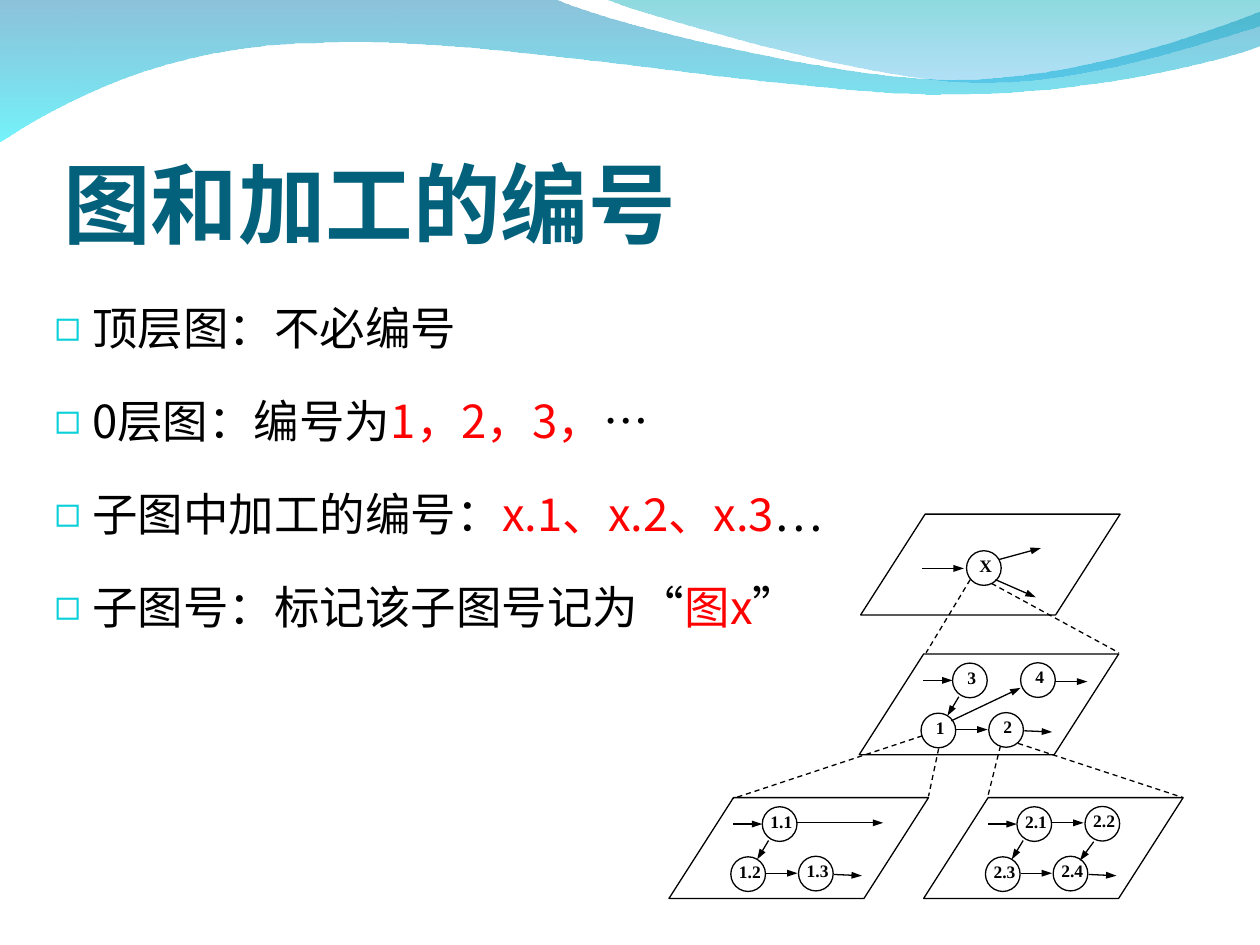
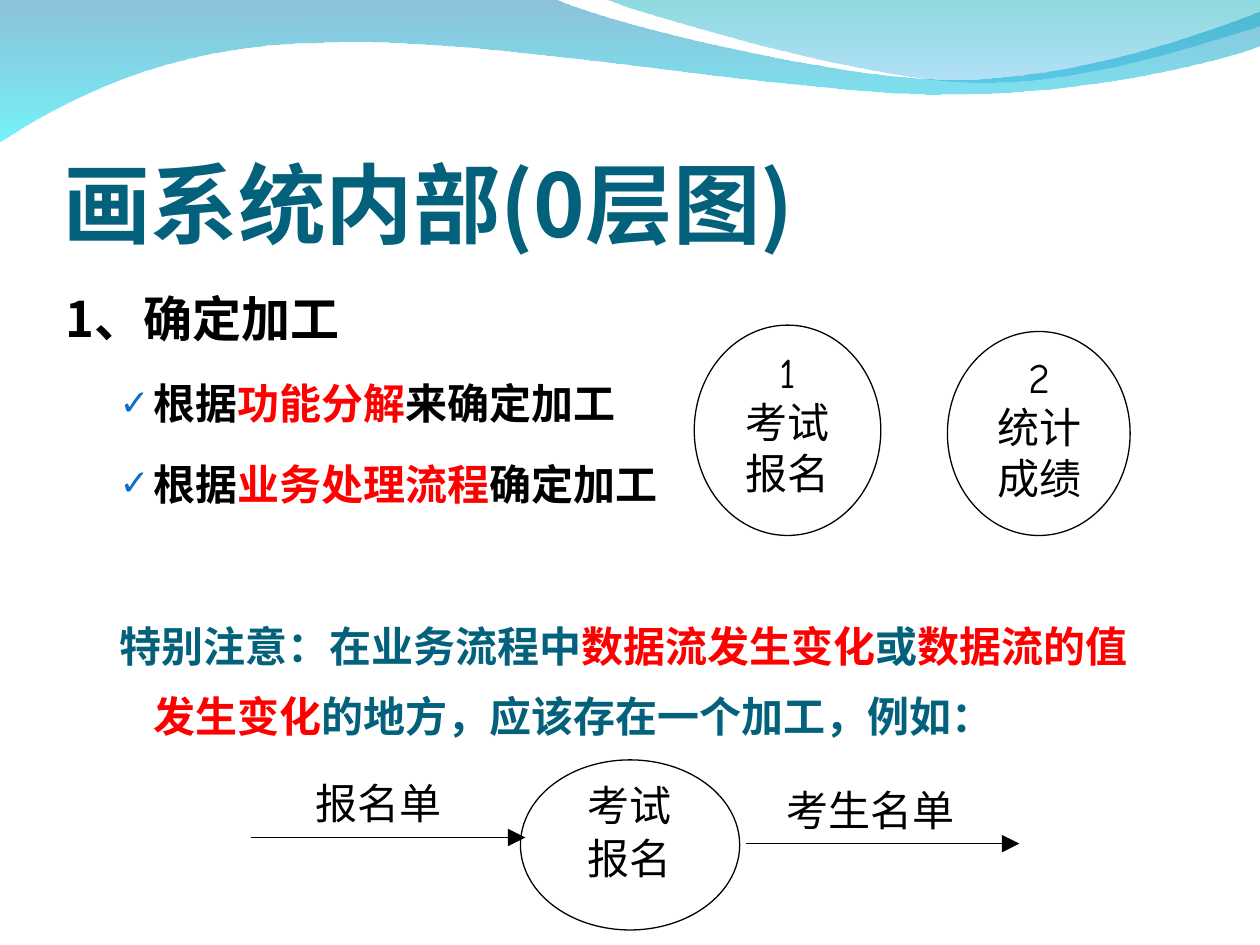
from dataclasses import dataclass

from lxml.etree import SubElement
from pptx import Presentation
from pptx.dml.color import RGBColor as RGB
from pptx.enum.dml import MSO_LINE
from pptx.enum.shapes import MSO_CONNECTOR as CONNECTOR, MSO_SHAPE as SHAPE
from pptx.enum.text import MSO_ANCHOR as ANCHOR, MSO_AUTO_SIZE as AUTO, PP_ALIGN as ALIGN
from pptx.oxml.ns import qn
from pptx.util import Pt


@dataclass(frozen=True)
class Theme:
    ink: str = "000000"
    teal: str = "04617B"
    red: str = "FF0000"
    square: str = "0BD0D9"
    tick: str = "0F6FC6"
    sans: str = "Noto Sans CJK SC"
    serif: str = "Vollkorn"
    hand: str = "Comic Neue"
    roman: str = "Times New Roman"
    title_size: int = 50
    heading_size: int = 28
    list_size: int = 26
    text_size: int = 24
    node_size: int = 10
    stroke: float = 0.75


theme = Theme()


def write(para, spans, size, face, bold=False, align=ALIGN.LEFT):
    """Fill a paragraph with (text, colour) spans in one font."""
    for text, colour in spans:
        span = para.add_run()
        span.text = text
        span.font.color.rgb = RGB.from_string(colour)
    para.alignment = align
    for font in (para.font, *(span.font for span in para.runs)):
        font.size, font.name, font.bold = Pt(size), face, bold
    for latin in list(para._p.iter(qn("a:latin"))):
        east = SubElement(latin.getparent(), qn("a:ea"), typeface=theme.sans)
        latin.addnext(east)


def draw_line(page, start, end, head=None):
    """Draw a line with an arrowhead of (width, length), or a dashed guide without one."""
    line = page.shapes.add_connector(CONNECTOR.STRAIGHT, *map(Pt, (*start, *end)))
    line.line.color.rgb = RGB.from_string(theme.ink)
    line.line.width = Pt(theme.stroke)
    if head:
        width, length = head
        SubElement(line.element.spPr.find(qn("a:ln")), qn("a:tailEnd"),
                   type="triangle", w=width, len=length)
    else:
        line.line.dash_style = MSO_LINE.DASH
    SubElement(line.element.spPr, qn("a:effectLst"))


deck = Presentation()
deck.slide_width, deck.slide_height = Pt(720), Pt(540)
layout = deck.slide_layouts[1]

# Content: list styles are size, face, bold, line height, space before and after,
# left margin, hanging indent, level, bullet, bullet colour, bullet size
square = (theme.list_size, theme.sans, False, 46.6, 2.5, 4, 21.6, 21.6, 0, "◻", theme.square, 95)
heading = (theme.heading_size, theme.sans, True, 27.2, 7, 0, 0, 0, 0, None, None, None)
tick = (theme.text_size, theme.serif, True, 40, 6, 0, 50.4, 19.4, 1, "✓", theme.tick, 85)
notice = (theme.text_size, theme.serif, True, 40, 53, 0, 50.4, 19.4, 1, None, None, None)
ink, red, teal = theme.ink, theme.red, theme.teal

contents = [
    ("图和加工的编号", (23.8, 152.6, 678.2, 345.6), [
        (square, [("顶层图：不必编号", ink)]),
        (square, [("0层图：编号为", ink), ("1，2，3，", red), ("…", ink)]),
        (square, [("子图中加工的编号：", ink), ("x.1、x.2、x.3", red), ("…", ink)]),
        (square, [("子图号：标记该子图号记为“", ink), ("图x", red), ("”", ink)]),
    ]),
    ("画系统内部(0层图)", (30.2, 167.8, 624.2, 264.2), [
        (heading, [("1、确定加工", ink)]),
        (tick, [("根据", ink), ("功能分解", red), ("来确定加工", ink)]),
        (tick, [("根据", ink), ("业务处理流程", red), ("确定加工", ink)]),
        (notice, [("特别注意：在业务流程中", teal), ("数据流发生变化", red), ("或", teal),
                  ("数据流的值发生变化", red), ("的地方，应该存在一个加工，例如：", teal)]),
    ]),
]

# Titles and lists
for title_text, body_place, items in contents:
    page = deck.slides.add_slide(layout)
    title, body = page.placeholders
    title.left, title.top, title.width, title.height = map(Pt, (36, 55.6, 648, 90))
    frame = title.text_frame
    frame.auto_size, frame.vertical_anchor = AUTO.NONE, ANCHOR.BOTTOM
    frame.margin_left = frame.margin_right = frame.margin_bottom = 0
    write(frame.paragraphs[0], [(title_text, teal)], theme.title_size, theme.sans, True)

    body.left, body.top, body.width, body.height = map(Pt, body_place)
    frame = body.text_frame
    frame.auto_size = AUTO.NONE
    for index, (style, spans) in enumerate(items):
        (size, face, bold, height, before, after,
         margin, hang, level, bullet, bullet_colour, bullet_size) = style
        para = frame.add_paragraph() if index else frame.paragraphs[0]
        write(para, spans, size, face, bold)
        para.level = level
        para.line_spacing = Pt(height)
        para.space_before, para.space_after = Pt(before), Pt(after)
        props = para._p.get_or_add_pPr()
        props.set("marL", str(Pt(margin)))
        props.set("indent", str(-Pt(hang)))
        if bullet:
            colour = SubElement(props, qn("a:buClr"))
            SubElement(colour, qn("a:srgbClr"), val=bullet_colour)
            marks = [colour,
                     SubElement(props, qn("a:buSzPct"), val=str(bullet_size * 1000)),
                     SubElement(props, qn("a:buChar"), char=bullet)]
        else:
            marks = [SubElement(props, qn("a:buNone"))]
        for mark in marks:
            props.find(qn("a:defRPr")).addprevious(mark)

numbering, inner = deck.slides

# Waves on the layout: two numbers are a corner, six are a Bézier curve
waves = [
    ([(0, -0.7), (316.8, -0.7), (342.7, 12.2, 478.1, 45.4, 545.8, 45.4),
      (614.2, 45.4, 689.8, 18.7, 720, 6.5), (720.7, 25.9),
      (707.8, 31.7, 626.4, 54.7, 537.1, 54), (447.8, 54, 275, 20.2, 185, 24.5),
      (92.9, 25.2, 33.1, 59.8, -0.7, 81.4)],
     [("0079AF", 45), ("00EBF8", 55)]),
    ([(344.9, -0.7), (366.5, 7.9, 491, 44.6, 553.7, 46.8),
      (616.3, 49.7, 691.9, 23, 720, 15.1), (720, 0)],
     [("00ADB6", 45), ("009BE5", 30)]),
]
for outline, stops in waves:
    start, *segments = outline
    points = [(Pt(x), Pt(y)) for segment in segments
              for x, y in zip(segment[::2], segment[1::2])]
    builder = numbering.shapes.build_freeform(*map(Pt, start))
    builder.add_line_segments(points)
    wave = builder.convert_to_shape()
    corners = iter(list(wave.element.iter(qn("a:lnTo"))))
    for segment in segments:
        first = next(corners)
        if len(segment) == 6:
            curve = SubElement(first.getparent(), qn("a:cubicBezTo"))
            first.addprevious(curve)
            for corner in (first, next(corners), next(corners)):
                curve.append(corner[0])
                corner.getparent().remove(corner)
    wave.shadow.inherit = False
    wave.line.fill.background()
    wave.fill.gradient()
    wave.fill.gradient_angle = 270
    for stop, (colour, _) in zip(wave.fill.gradient_stops, stops):
        stop.color.rgb = RGB.from_string(colour)
    fill = wave.element.spPr.find(qn("a:gradFill"))
    for colour, (_, opacity) in zip(fill.iter(qn("a:srgbClr")), stops):
        SubElement(colour, qn("a:alpha"), val=str(opacity * 1000))
    layout.placeholders[0].element.addprevious(wave.element)

# Levelled diagrams: nodes and arrows are measured from the corner of their sheet
upper_left, upper_right = (53.3, 5.2), (92.2, 5)
lower_left, lower_right = (35.3, 33.8), (74, 33.5)
common_arrows = [
    ((36.7, 15.1), (53.3, 15.1)), ((56.9, 24.5), (50.4, 35.3)),
    ((55.4, 43.2), (73.4, 43.2)), ((94.3, 43.9), (110.2, 44.6)),
]
sheets = [
    ((491.8, 293.8), {"X": (60.5, 20.9)},
     [((77, 37.4), (100.1, 47.5)), ((35.3, 31), (59, 31)), ((79.2, 25.9), (103, 19.4))]),
    ((491, 373.7), {"3": upper_left, "4": upper_right, "1": lower_left, "2": lower_right},
     common_arrows + [((111.6, 15.8), (130.3, 15.8)), ((52.6, 38.2), (92.2, 19.4))]),
    ((382.3, 455.8), {"1.1": upper_left, "1.2": lower_left, "1.3": lower_right},
     common_arrows + [((72.7, 14.4), (122.4, 14.4))]),
    ((527.8, 455.8),
     {"2.1": upper_left, "2.2": upper_right, "2.3": lower_left, "2.4": lower_right},
     common_arrows + [((72.7, 14.4), (91.4, 14.4)), ((97.2, 25.2), (89.3, 36))]),
]
outlined = []
for (left, top), nodes, arrows in sheets:
    sheet = numbering.shapes.add_shape(
        SHAPE.PARALLELOGRAM, *map(Pt, (left, top, 148.3, 57.6)))
    sheet.adjustments[0] = 0.64
    outlined.append(sheet)
    for name, (dx, dy) in nodes.items():
        x, y = left + dx, top + dy
        box = numbering.shapes.add_textbox(*map(Pt, (x - 2.6, y - 1.4, 27, 23)))
        box.text_frame.word_wrap = False
        write(box.text_frame.paragraphs[0], [(name, ink)],
              theme.node_size, theme.roman, True, ALIGN.CENTER)
        outlined.append(numbering.shapes.add_shape(
            SHAPE.OVAL, *map(Pt, (x, y, 19.8, 19.8))))
    for (x1, y1), (x2, y2) in arrows:
        draw_line(numbering, (left + x1, top + y1), (left + x2, top + y2), ("sm", "med"))

# Dashed guides from a node to its child sheet
for start, end in [
    ((554.4, 331.2), (529.2, 373)), ((566.6, 333.4), (639.4, 373)),
    ((527, 420.5), (418.3, 456.5)), ((536.4, 427.7), (530.6, 455)),
    ((571.7, 426.2), (564.5, 455)), ((581.8, 424.8), (676.1, 455.8)),
]:
    draw_line(numbering, start, end)

# Processes and data flows of the inner diagram
for place in [(396.7, 185.8, 106.6, 120.2), (541.4, 189.4, 104.4, 116.6),
              (297.4, 434.2, 125.3, 97.2)]:
    outlined.append(inner.shapes.add_shape(SHAPE.OVAL, *map(Pt, place)))
for place, lines, height in [
    ((388.8, 194.4, 122.4, 110.2), ["1", "考试", "报名"], 28.8),
    ((534.2, 197.3, 120.2, 107.3), ["2", "统计", "成绩"], 28.8),
    ((288, 440.6, 143.3, 88.6), ["考试", "报名"], 30.2),
    ((408.2, 443.5, 178.6, 53.3), ["考生名单"], 30.2),
    ((126.7, 439.2, 178.6, 53.3), ["报名单"], 30.2),
]:
    box = inner.shapes.add_textbox(*map(Pt, place))
    frame = box.text_frame
    frame.word_wrap = True
    for index, text in enumerate(lines):
        para = frame.add_paragraph() if index else frame.paragraphs[0]
        write(para, [(text, ink)], theme.text_size, theme.hand, align=ALIGN.CENTER)
        para.line_spacing = Pt(height)
for start, end in [((426.2, 482.1), (582.5, 482.1)), ((143.3, 478.6), (300.2, 478.6))]:
    draw_line(inner, start, end, ("lg", "lg"))

# Shared outline style
for shape in outlined:
    shape.shadow.inherit = False
    shape.fill.background()
    shape.line.color.rgb = RGB.from_string(ink)
    shape.line.width = Pt(theme.stroke)

deck.save("out.pptx")
